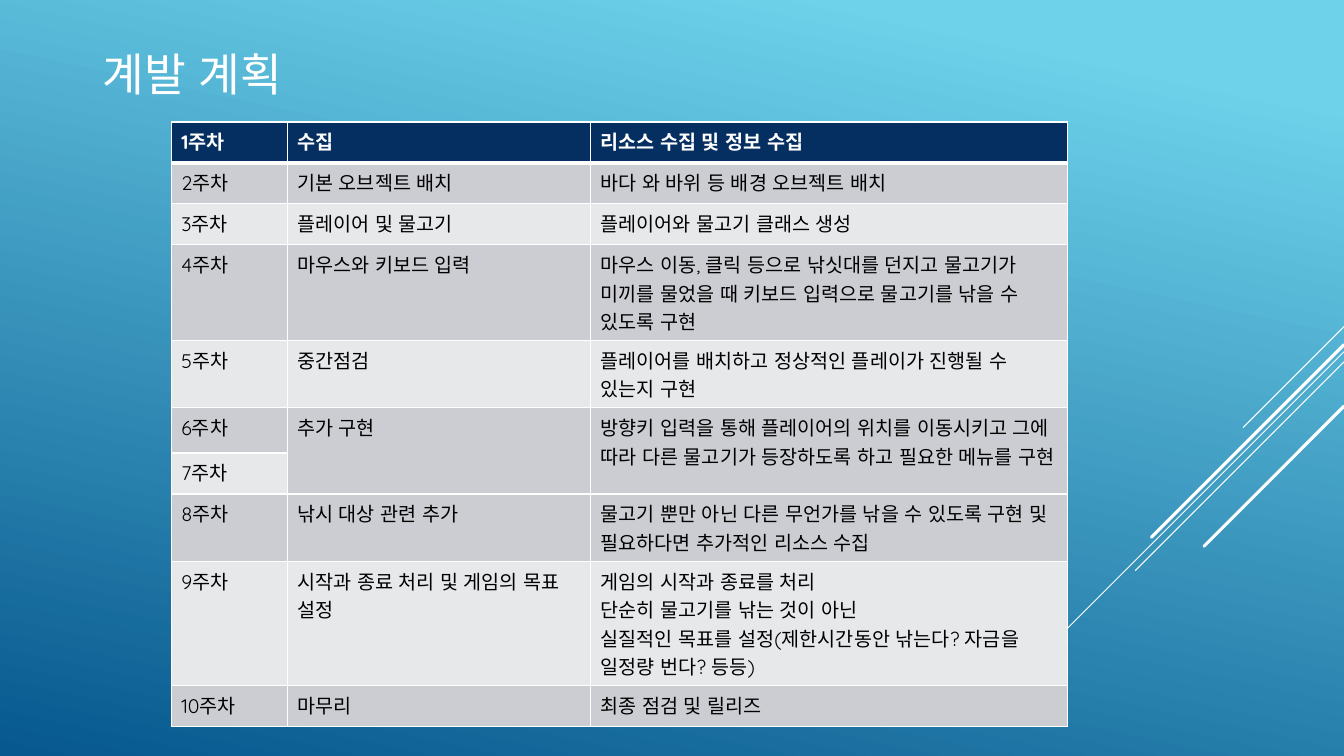
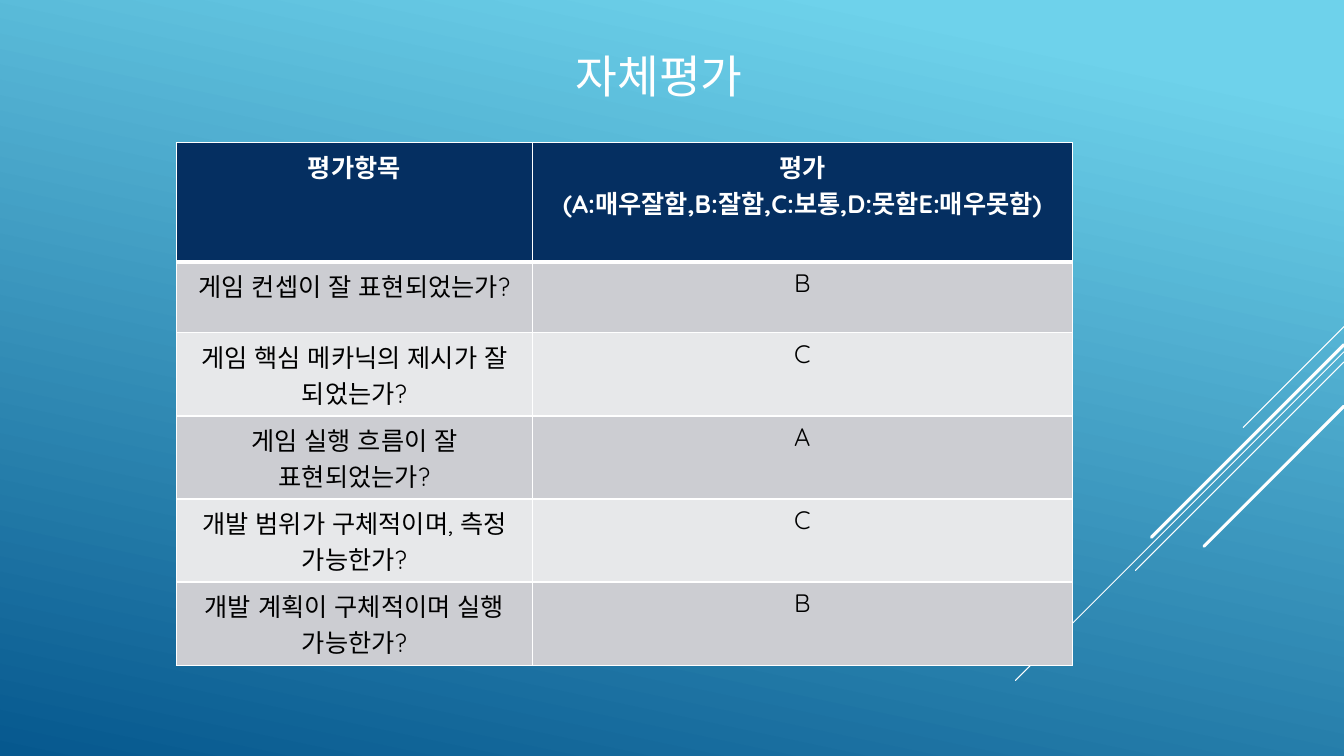
from lxml import etree
from pptx import Presentation
from pptx import util as u
from pptx.dml.color import RGBColor
from pptx.enum import lang, shapes, text
from pptx.oxml.ns import qn

COLORS = {
    "white": "FFFFFF",
    "black": "000000",
    "sky": "6ED2EB",
    "sea": "06588E",
    "header": "052F61",
    "odd_row": "CCCDD2",
    "even_row": "E7E8EA",
}
FONT = "Quicksand"
SLIDE_WIDTH, SLIDE_HEIGHT = 960, 540
TITLE_SIZE = 32.4
GRADIENT_ANGLE = 258
THIN_BORDER, HEADER_BORDER = 1, 3

# Height at the right edge, horizontal run, line width
DIAGONALS = [
    (233.3, 72, 0.75),
    (251.3, 234.7, 0.75),
    (258.5, 149, 0.75),
    (246.2, 137.5, 2.25),
    (290.2, 100, 2.25),
]

# None continues the cell above
PLAN = [
    ("1주차", "수집", "리소스 수집 및 정보 수집"),
    ("2주차", "기본 오브젝트 배치", "바다 와 바위 등 배경 오브젝트 배치"),
    ("3주차", "플레이어 및 물고기", "플레이어와 물고기 클래스 생성"),
    ("4주차", "마우스와 키보드 입력",
     "마우스 이동, 클릭 등으로 낚싯대를 던지고 물고기가 미끼를 물었을 때 "
     "키보드 입력으로 물고기를 낚을 수 있도록 구현"),
    ("5주차", "중간점검", "플레이어를 배치하고 정상적인 플레이가 진행될 수 있는지 구현"),
    ("6주차", "추가 구현",
     "방향키 입력을 통해 플레이어의 위치를 이동시키고 그에 따라 다른 물고기가 "
     "등장하도록 하고 필요한 메뉴를 구현"),
    ("7주차", None, None),
    ("8주차", "낚시 대상 관련 추가",
     "물고기 뿐만 아닌 다른 무언가를 낚을 수 있도록 구현 및 필요하다면 추가적인 리소스 수집"),
    ("9주차", "시작과 종료 처리 및 게임의 목표 설정",
     "게임의 시작과 종료를 처리\n단순히 물고기를 낚는 것이 아닌\n"
     "실질적인 목표를 설정(제한시간동안 낚는다? 자금을 일정량 번다? 등등)"),
    ("10주차", "마무리", "최종 점검 및 릴리즈"),
]
PLAN_HEIGHTS = [29.2] * 5 + [32.4] + [29.2] * 4

EVALUATION = [
    ("평가항목", "평가\n(A:매우잘함,B:잘함,C:보통,D:못함E:매우못함)"),
    ("게임 컨셉이 잘 표현되었는가?", "B"),
    ("게임 핵심 메카닉의 제시가 잘 되었는가?", "C"),
    ("게임 실행 흐름이 잘 표현되었는가?", "A"),
    ("개발 범위가 구체적이며, 측정 가능한가?", "C"),
    ("개발 계획이 구체적이며 실행 가능한가?", "B"),
]
EVALUATION_HEIGHTS = [50.4] * len(EVALUATION)


def rgb(name):
    return RGBColor.from_string(COLORS[name])


def set_background(master):
    fill = master.background.fill
    fill.gradient()
    fill.gradient_angle = GRADIENT_ANGLE
    for stop, position, color in zip(fill.gradient_stops, (0.1, 1), ("sky", "sea")):
        stop.position = position
        stop.color.rgb = rgb(color)


def format_text(text_frame, size, color, bold, alignment):
    for paragraph in text_frame.paragraphs:
        paragraph.alignment = alignment
        for run in paragraph.runs:
            font = run.font
            font.name = FONT
            font.size = u.Pt(size)
            font.bold = bold
            font.color.rgb = rgb(color)
            font.language_id = lang.MSO_LANGUAGE_ID.KOREAN


def add_diagonals(slide):
    for top, run, width in DIAGONALS:
        line = slide.shapes.add_connector(
            shapes.MSO_CONNECTOR.STRAIGHT, u.Pt(SLIDE_WIDTH), u.Pt(top),
            u.Pt(SLIDE_WIDTH - run), u.Pt(top + run))
        line.line.color.rgb = rgb("white")
        line.line.width = u.Pt(width)
        line.line._get_or_add_ln().set("cap", "rnd")
        etree.SubElement(line._element.spPr, qn("a:effectLst"))


def set_title(slide, title_text, box, alignment):
    title = slide.shapes.title
    title.left, title.top, title.width, title.height = map(u.Pt, box)
    frame = title.text_frame
    frame.text = title_text
    frame.word_wrap = True
    frame.auto_size = text.MSO_AUTO_SIZE.NONE
    frame.vertical_anchor = text.MSO_ANCHOR.MIDDLE
    format_text(frame, TITLE_SIZE, "white", False, alignment)


def set_borders(cell, top, bottom):
    """Draw white borders; they must precede the fill in the cell properties."""
    properties = cell._tc.get_or_add_tcPr()
    sides = {"lnL": THIN_BORDER, "lnR": THIN_BORDER, "lnT": top, "lnB": bottom}
    for index, (side, width) in enumerate(sides.items()):
        border = etree.Element(qn("a:" + side), w=str(u.Pt(width)))
        solid = etree.SubElement(border, qn("a:solidFill"))
        etree.SubElement(solid, qn("a:srgbClr"), val=COLORS["white"])
        properties.insert(index, border)


def format_cell(cell, row, size, alignment):
    is_header = row == 0
    fill = "header" if is_header else "odd_row" if row % 2 else "even_row"
    cell.fill.solid()
    cell.fill.fore_color.rgb = rgb(fill)
    set_borders(cell,
                top=HEADER_BORDER if row == 1 else THIN_BORDER,
                bottom=HEADER_BORDER if is_header else THIN_BORDER)
    format_text(cell.text_frame, size, "white" if is_header else "black",
                is_header, alignment)


def add_table(slide, rows, left, top, widths, heights, size, alignment):
    table = slide.shapes.add_table(
        len(rows), len(widths), u.Pt(left), u.Pt(top),
        u.Pt(sum(widths)), u.Pt(sum(heights))).table
    for column, width in zip(table.columns, widths):
        column.width = u.Pt(width)
    for table_row, height in zip(table.rows, heights):
        table_row.height = u.Pt(height)
    for row, values in enumerate(rows):
        for column, value in enumerate(values):
            cell = table.cell(row, column)
            if value is None:
                table.cell(row - 1, column).merge(cell)
            else:
                cell.text_frame.text = value
            format_cell(cell, row, size, alignment)


def add_slide(presentation, title_text, title_box, alignment):
    slide = presentation.slides.add_slide(presentation.slide_layouts[5])
    add_diagonals(slide)
    set_title(slide, title_text, title_box, alignment)
    return slide


def main():
    presentation = Presentation()
    presentation.slide_width = u.Pt(SLIDE_WIDTH)
    presentation.slide_height = u.Pt(SLIDE_HEIGHT)
    set_background(presentation.slide_master)

    left, center = text.PP_ALIGN.LEFT, text.PP_ALIGN.CENTER
    plan = add_slide(presentation, "계발 계획", (66.2, 28.8, 828, 46.8), left)
    add_table(plan, PLAN, 122.4, 87.1, (82.8, 216.7, 340.6), PLAN_HEIGHTS, 14, left)

    evaluation = add_slide(presentation, "자체평가", (47.5, 28.8, 846.7, 49.7), center)
    add_table(evaluation, EVALUATION, 126, 102, (254.2, 385.9),
              EVALUATION_HEIGHTS, 18, center)

    presentation.save("out.pptx")


if __name__ == "__main__":
    main()
